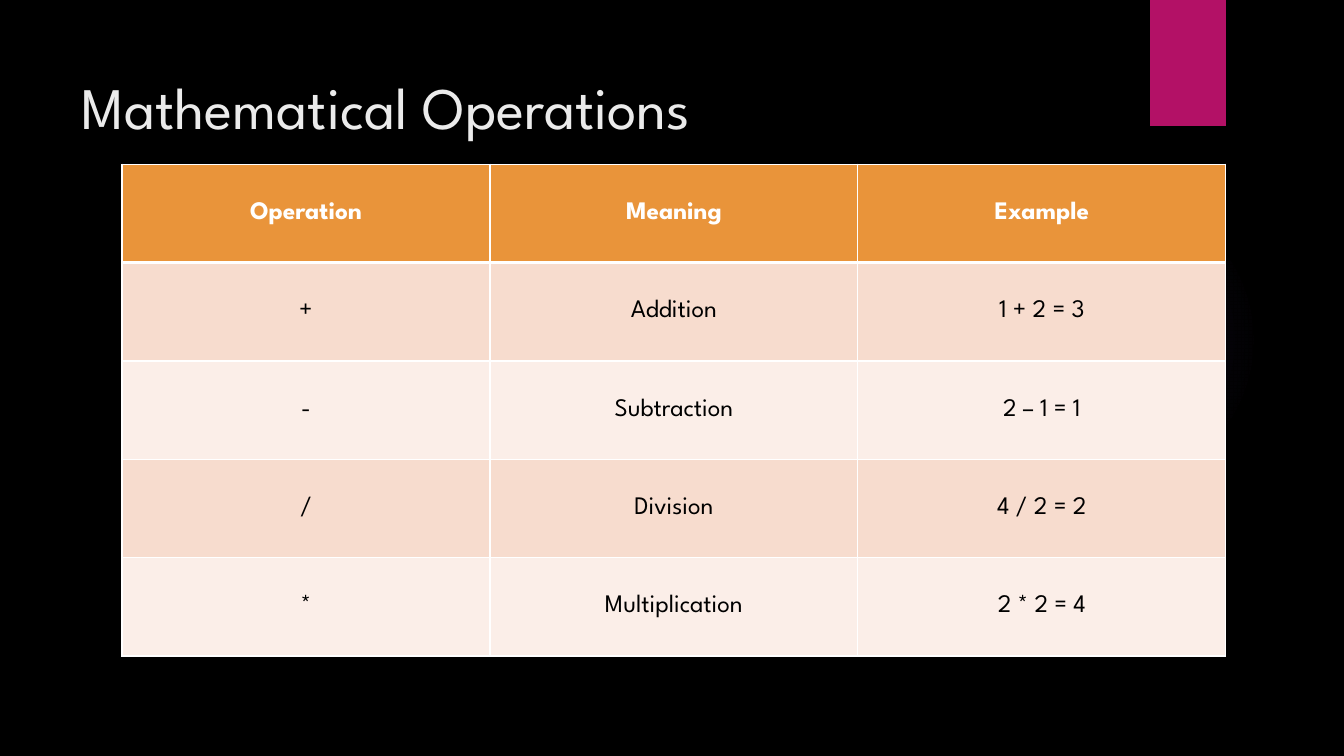
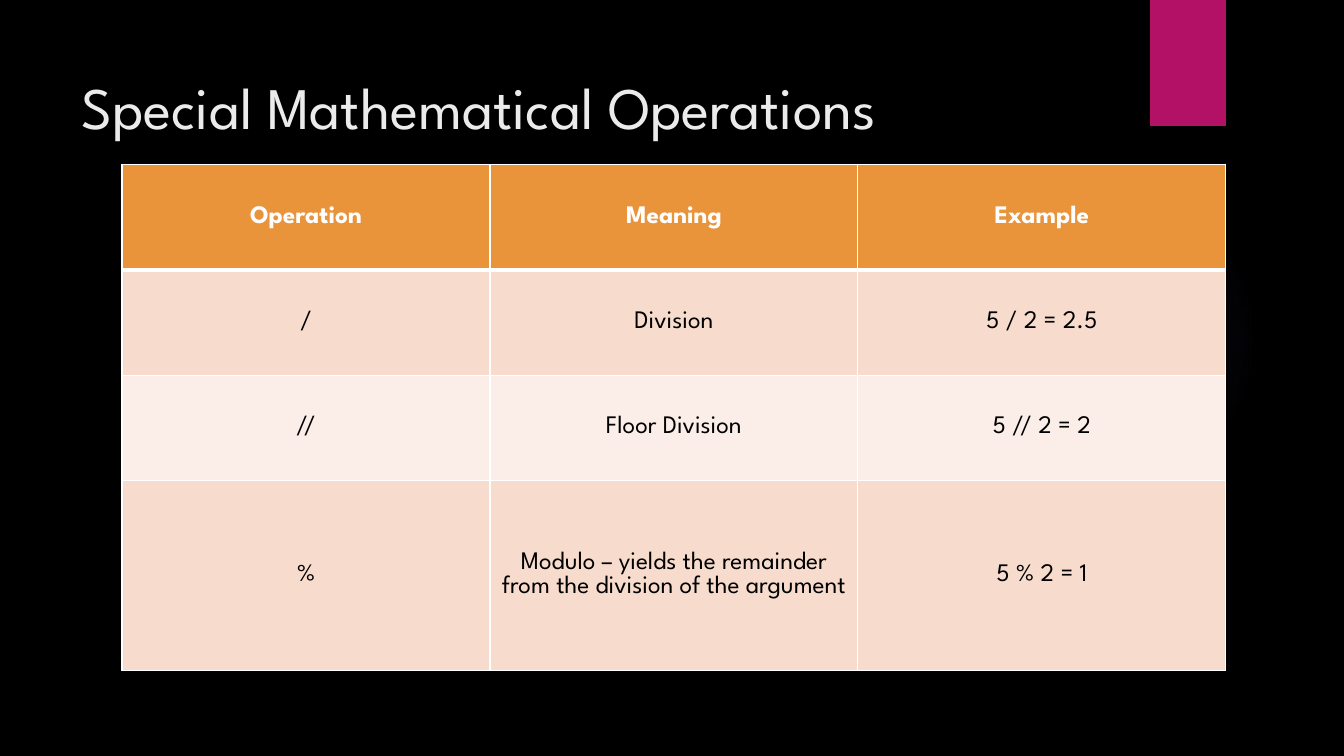
"""Build two slides that tabulate mathematical operations."""
from lxml.etree import SubElement
from pptx import Presentation
from pptx.dml.color import RGBColor
from pptx.enum.shapes import MSO_SHAPE
from pptx.enum.text import MSO_ANCHOR, PP_ALIGN
from pptx.oxml import parse_xml
from pptx.oxml.ns import nsdecls, qn
from pptx.util import Inches, Pt

FONT = "League Spartan"
BLACK, WHITE, TITLE_GRAY = "000000", "FFFFFF", "EBEBEB"
MAGENTA, VIOLET, ORANGE = "B31166", "9B6BF2", "E9943A"
BODY_FILLS = ["F7DCCE", "FBEEE8"]
TABLE_BOX = (9.08, 21.73, 82.13)
HEADER = ("Operation", "Meaning", "Example")
SLIDES = [
    ("Mathematical Operations", [13.01] * 5, [
        ("+", "Addition", "1 + 2 = 3"),
        ("-", "Subtraction", "2 – 1 = 1"),
        ("/", "Division", "4 / 2 = 2"),
        ("*", "Multiplication", "2 * 2 = 4"),
    ]),
    ("Special Mathematical Operations", [13.95] * 3 + [25.07], [
        ("/", "Division", "5 / 2 = 2.5"),
        ("//", "Floor Division", "5 // 2 = 2"),
        ("%", "Modulo – yields the remainder from the division of the argument",
         "5 % 2 = 1"),
    ]),
]

presentation = Presentation()
presentation.slide_width = Inches(13.33)
presentation.slide_height = Inches(7.5)


def percent(*shares):
    """Turn alternating shares of slide width and height into lengths."""
    sides = (presentation.slide_width, presentation.slide_height)
    return [int(sides[index % 2] * share / 100) for index, share in enumerate(shares)]


def style_text(paragraph, size, color, bold=False):
    """Format every run of a paragraph in the shared font."""
    for run in paragraph.runs:
        run.font.name = FONT
        run.font.size = Pt(size)
        run.font.bold = bold
        run.font.color.rgb = RGBColor.from_string(color)


layout = presentation.slide_layouts[5]
layout.background.fill.solid()
layout.background.fill.fore_color.rgb = RGBColor.from_string(BLACK)
layout_title = layout.placeholders[0]
(layout_title.left, layout_title.top,
 layout_title.width, layout_title.height) = percent(5.33, 6.67, 77.18, 15.2)

slides = [presentation.slides.add_slide(layout) for _ in SLIDES]

glow = slides[0].shapes.add_shape(MSO_SHAPE.OVAL, *percent(70.58, 24.4, 23.1, 41.07))
ribbon = slides[0].shapes.add_shape(MSO_SHAPE.RECTANGLE, *percent(85.58, 0, 5.63, 16.67))
ribbon.fill.solid()
ribbon.fill.fore_color.rgb = RGBColor.from_string(MAGENTA)
for position, shape in enumerate((glow, ribbon), start=2):
    shape.shadow.inherit = False
    shape.line.fill.background()
    layout.shapes.element.insert(position, shape.element)

stops = "".join(
    f'<a:gs pos="{place * 1000}"><a:srgbClr val="{VIOLET}">'
    f'<a:alpha val="{alpha * 1000}"/></a:srgbClr></a:gs>'
    for place, alpha in ((0, 7), (36, 6), (69, 0)))
glow.element.spPr.insert(2, parse_xml(
    f'<a:gradFill {nsdecls("a")}><a:gsLst>{stops}</a:gsLst><a:path path="circle">'
    '<a:fillToRect l="50000" t="50000" r="50000" b="50000"/></a:path></a:gradFill>'))
ribbon.element.spPr.find(qn("a:effectLst")).append(parse_xml(
    f'<a:outerShdw {nsdecls("a")} blurRad="{Pt(3)}" dist="{Pt(2)}" dir="5400000">'
    f'<a:srgbClr val="{BLACK}"><a:alpha val="45000"/></a:srgbClr></a:outerShdw>'))

for slide, (title_text, row_shares, body) in zip(slides, SLIDES):
    title = slide.shapes.title
    title.text_frame.text = title_text
    title.text_frame.word_wrap = True
    title.text_frame.vertical_anchor = MSO_ANCHOR.TOP
    title.text_frame.margin_top = Inches(0.2)
    title.text_frame.paragraphs[0].alignment = PP_ALIGN.LEFT
    style_text(title.text_frame.paragraphs[0], 42, TITLE_GRAY)

    rows = [HEADER] + body
    table = slide.shapes.add_table(
        len(rows), len(HEADER), *percent(*TABLE_BOX, sum(row_shares))).table
    for row, share in zip(table.rows, row_shares):
        row.height = percent(0, share)[1]

    for row_index, row_texts in enumerate(rows):
        is_header = row_index == 0
        fill = ORANGE if is_header else BODY_FILLS[(row_index - 1) % 2]
        border_widths = {"L": 1, "R": 1, "T": 3 if row_index == 1 else 1,
                         "B": 3 if is_header else 1}
        for column_index, cell_text in enumerate(row_texts):
            cell = table.cell(row_index, column_index)
            cell.text_frame.text = cell_text
            cell.vertical_anchor = MSO_ANCHOR.MIDDLE
            paragraph = cell.text_frame.paragraphs[0]
            paragraph.alignment = PP_ALIGN.CENTER
            style_text(paragraph, 18, WHITE if is_header else BLACK, is_header)
            properties = cell._tc.get_or_add_tcPr()
            for side, width in border_widths.items():
                border = SubElement(properties, qn(f"a:ln{side}"), w=str(Pt(width)))
                border_fill = SubElement(border, qn("a:solidFill"))
                SubElement(border_fill, qn("a:srgbClr"), val=WHITE)
            cell.fill.solid()
            cell.fill.fore_color.rgb = RGBColor.from_string(fill)

presentation.save("out.pptx")
